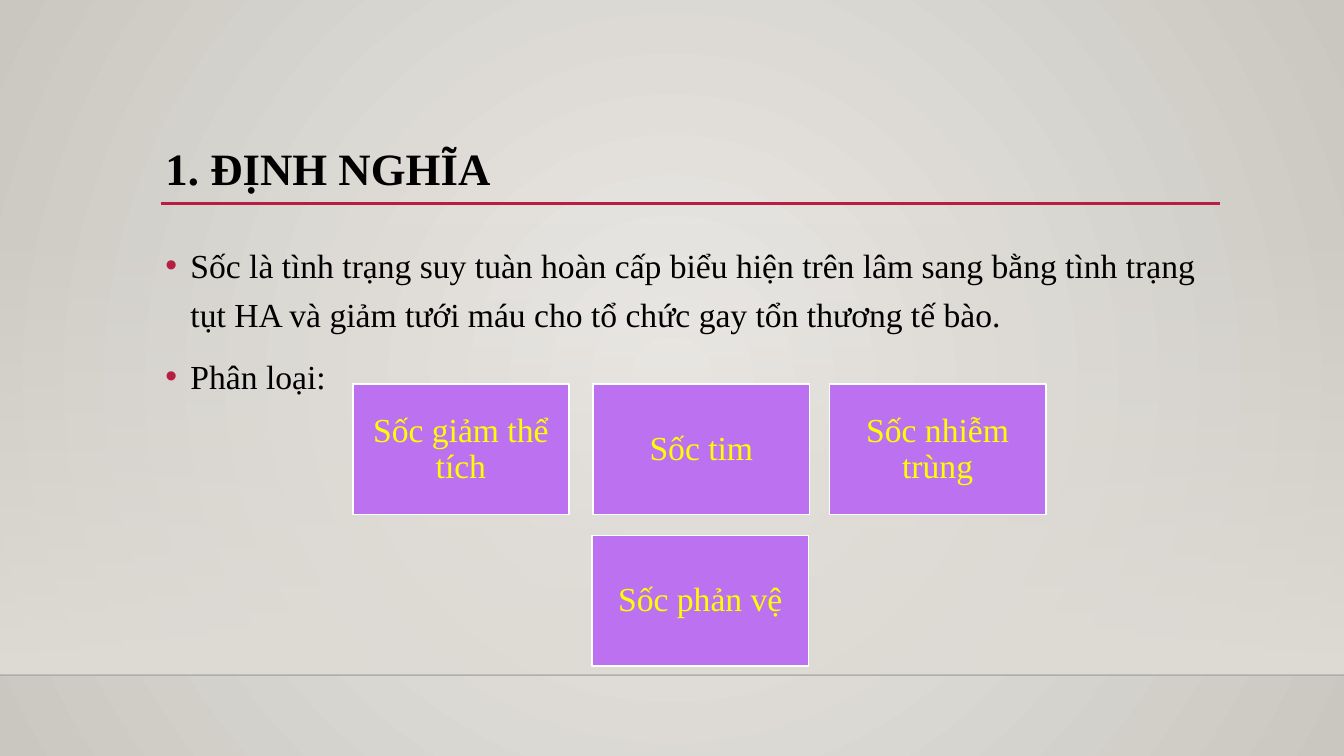
from dataclasses import dataclass

from lxml.etree import SubElement
from pptx import Presentation
from pptx.dml.color import RGBColor
from pptx.enum.shapes import MSO_CONNECTOR as Connector, MSO_SHAPE as Preset
from pptx.enum.text import MSO_ANCHOR as Anchor, MSO_AUTO_SIZE as AutoSize, PP_ALIGN as Align
from pptx.oxml.ns import qn
from pptx.util import Emu, Pt

EMU_PER_PX = 9525


@dataclass(frozen=True)
class Theme:
    font: str = "Times New Roman"
    title_size: int = 32
    text_size: int = 24
    ink: str = "000000"
    accent: str = "B71E42"
    box_fill: str = "BC72F0"
    box_line: str = "FFFFFF"
    box_text: str = "FFFF00"
    backdrop_centre: str = "ECEAE7"
    backdrop_edge: str = "CAC7C1"
    wall: str = "DFDBD5"
    floor_line: str = "000001"


@dataclass(frozen=True)
class Rule:
    left: int
    right: int
    y: int
    color: str
    width: float
    opacity: int = 100


@dataclass(frozen=True)
class ShockType:
    label: str
    left: int
    top: int


THEME = Theme()
SLIDE_WIDTH, SLIDE_HEIGHT = 1280, 720
FLOOR_Y = 643
WALL_TOP = 212
BOX_WIDTH, BOX_HEIGHT = 206, 124
ROW_1, ROW_2 = 366, 510

TITLE = "1. ĐỊNH NGHĨA"
BULLETS = (
    "Sốc là tình trạng suy tuàn hoàn cấp biểu hiện trên lâm sang bằng tình trạng "
    "tụt HA và giảm tưới máu cho tổ chức gay tổn thương tế bào.",
    "Phân loại:",
)
RULES = (
    Rule(0, SLIDE_WIDTH, FLOOR_Y, THEME.floor_line, 1, opacity=20),
    Rule(153, 1162, 194, THEME.accent, 2.5),
)
SHOCK_TYPES = (
    ShockType("Sốc giảm thể tích", 336, ROW_1),
    ShockType("Sốc tim", 565, ROW_1),
    ShockType("Sốc nhiễm trùng", 790, ROW_1),
    ShockType("Sốc phản vệ", 564, ROW_2),
)


def px(*lengths: int) -> list[Emu]:
    return [Emu(length * EMU_PER_PX) for length in lengths]


def apply(target, formats: dict) -> None:
    for name, value in formats.items():
        setattr(target, name, value)


def write(paragraph, text: str, size: int, color: str, bold: bool = False, **formats) -> None:
    apply(paragraph, formats)
    run = paragraph.add_run()
    run.text = text
    apply(run.font, {"name": THEME.font, "size": Pt(size), "bold": bold})
    run.font.color.rgb = RGBColor.from_string(color)


def set_opacity(element, percent: int) -> None:
    for color in element.iter(qn("a:srgbClr")):
        SubElement(color, qn("a:alpha"), val=str(percent * 1000))


def set_gradient(fill, first: str, last: str) -> None:
    fill.gradient()
    for stop, position, color in zip(fill.gradient_stops, (0, 1), (first, last)):
        stop.position = position
        stop.color.rgb = RGBColor.from_string(color)


def paint_backdrop(slide) -> None:
    """Give the slide a gradient that spreads in circles from its centre."""
    set_gradient(slide.background.fill, THEME.backdrop_centre, THEME.backdrop_edge)
    gradient = next(slide.element.iter(qn("a:gradFill")))
    gradient.remove(gradient.find(qn("a:lin")))
    circle = SubElement(gradient, qn("a:path"), {"path": "circle"})
    SubElement(circle, qn("a:fillToRect"), dict.fromkeys("ltrb", "50000"))


def draw_wall(slide) -> None:
    """Draw the band above the floor line, clear at its top edge."""
    wall = slide.shapes.add_shape(Preset.RECTANGLE, *px(0, WALL_TOP, SLIDE_WIDTH, FLOOR_Y - WALL_TOP))
    wall.shadow.inherit = False
    wall.line.fill.background()
    set_gradient(wall.fill, THEME.wall, THEME.wall)
    wall.fill.gradient_angle = 270
    set_opacity(next(wall.element.iter(qn("a:gs"))), 0)


def draw_rule(slide, rule: Rule) -> None:
    line = slide.shapes.add_connector(Connector.STRAIGHT, *px(rule.left, rule.y, rule.right, rule.y))
    line.line.width = Pt(rule.width)
    line.line.color.rgb = RGBColor.from_string(rule.color)
    properties = line.element.spPr
    if rule.opacity < 100:
        set_opacity(properties, rule.opacity)
    SubElement(properties, qn("a:effectLst"))


def place_title(slide) -> None:
    title = slide.shapes.title
    title.element.getparent().append(title.element)
    apply(title, dict(zip(("left", "top", "width", "height"), px(148, 135, 1008, 110))))
    frame = title.text_frame
    apply(frame, {"word_wrap": True, "auto_size": AutoSize.NONE, "vertical_anchor": Anchor.TOP})
    write(frame.paragraphs[0], TITLE, THEME.title_size, THEME.ink, bold=True,
          alignment=Align.LEFT, line_spacing=0.9)


def add_bullet(paragraph) -> None:
    properties = paragraph._p.get_or_add_pPr()
    indent = 24 * EMU_PER_PX
    properties.set("marL", str(indent))
    properties.set("indent", str(-indent))
    color = SubElement(properties, qn("a:buClr"))
    SubElement(color, qn("a:srgbClr"), val=THEME.accent)
    SubElement(properties, qn("a:buFont"), typeface="Arial")
    SubElement(properties, qn("a:buChar"), char="•")


def draw_definition(slide) -> None:
    frame = slide.shapes.add_textbox(*px(148, 221, 1008, 396)).text_frame
    frame.word_wrap = True
    for index, text in enumerate(BULLETS):
        paragraph = frame.add_paragraph() if index else frame.paragraphs[0]
        write(paragraph, text, THEME.text_size, THEME.ink, line_spacing=1.2, space_before=Pt(10))
        add_bullet(paragraph)


def draw_shock_type(slide, shock: ShockType) -> None:
    box = slide.shapes.add_shape(Preset.RECTANGLE, *px(shock.left, shock.top, BOX_WIDTH, BOX_HEIGHT))
    box.shadow.inherit = False
    box.fill.solid()
    box.fill.fore_color.rgb = RGBColor.from_string(THEME.box_fill)
    box.line.color.rgb = RGBColor.from_string(THEME.box_line)
    box.line.width = Pt(1.25)
    frame = box.text_frame
    apply(frame, {"word_wrap": True, "vertical_anchor": Anchor.MIDDLE})
    apply(frame, {f"margin_{side}": px(10)[0] for side in ("left", "top", "right", "bottom")})
    write(frame.paragraphs[0], shock.label, THEME.text_size, THEME.box_text,
          alignment=Align.CENTER, line_spacing=0.9)


def main() -> None:
    presentation = Presentation()
    presentation.slide_width, presentation.slide_height = px(SLIDE_WIDTH, SLIDE_HEIGHT)
    title_only = presentation.slide_layouts.get_by_name("Title Only")
    slide = presentation.slides.add_slide(title_only)
    paint_backdrop(slide)
    draw_wall(slide)
    for rule in RULES:
        draw_rule(slide, rule)
    place_title(slide)
    draw_definition(slide)
    for shock in SHOCK_TYPES:
        draw_shock_type(slide, shock)
    presentation.save("out.pptx")


if __name__ == "__main__":
    main()
